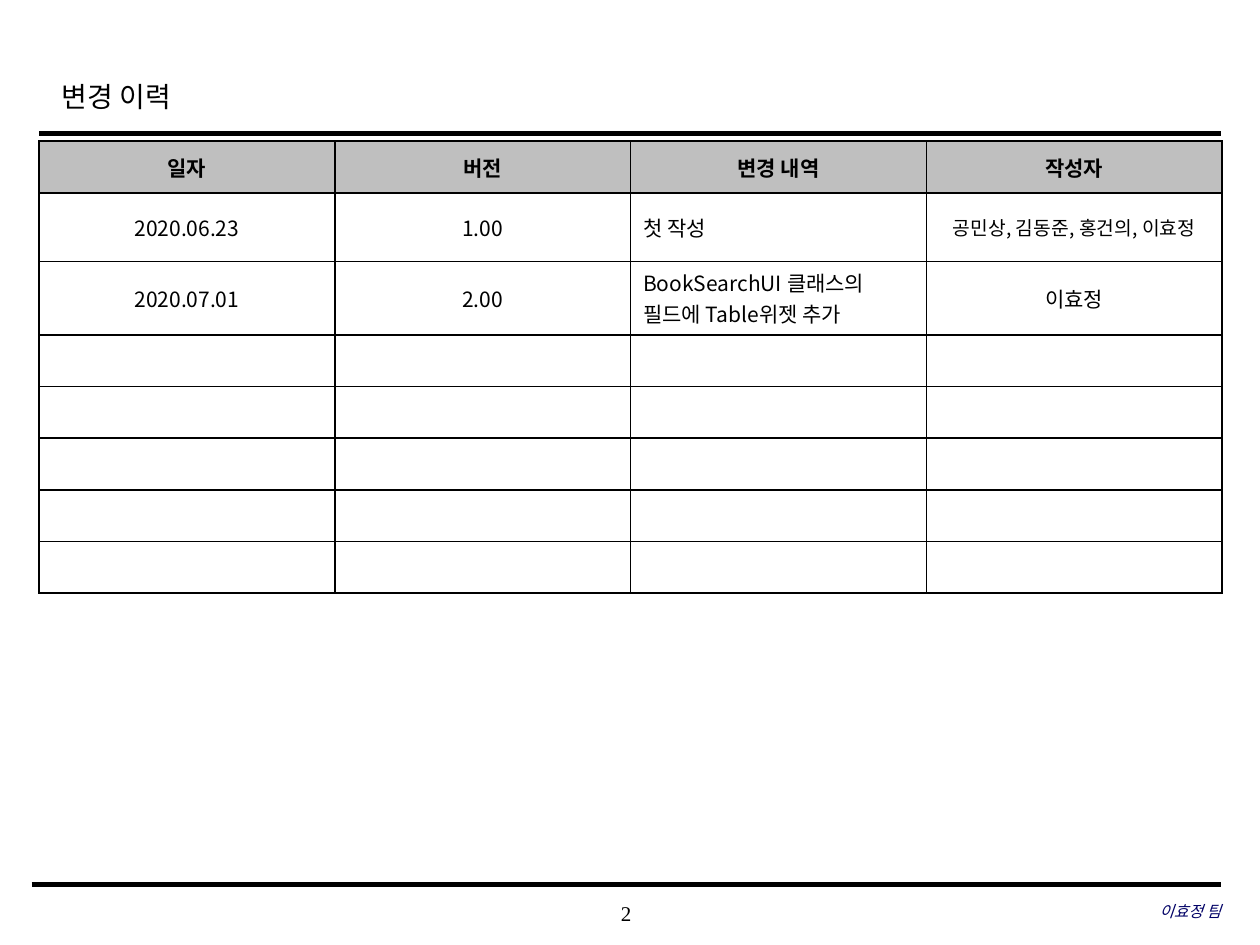
from lxml import etree
from pptx import Presentation
from pptx import util as u
from pptx.dml.color import RGBColor
from pptx.enum import shapes, text
from pptx.oxml.ns import qn

COLORS = {"ink": "000000", "team": "000066", "header": "BFBFBF", "cell": "FFFFFF"}
SERIF = "Times New Roman"
KOREAN = "Noto Sans CJK KR"
CENTER = text.PP_ALIGN.CENTER
LEFT = text.PP_ALIGN.LEFT
RIGHT = text.PP_ALIGN.RIGHT

HISTORY = [
    ["일자", "버전", "변경 내역", "작성자"],
    ["2020.06.23", "1.00", "첫 작성", "공민상, 김동준, 홍건의, 이효정"],
    ["2020.07.01", "2.00", "BookSearchUI 클래스의 필드에 Table위젯 추가", "이효정"],
] + [[""] * 4] * 5
ROW_HEIGHTS = [0.41, 0.54, 0.58] + [0.41] * 5


def style_paragraph(para, size, font=SERIF, color="ink", align=LEFT, bold=False, italic=False):
    para.alignment = align
    for span in para.runs:
        span.font.size = u.Pt(size)
        span.font.name = font
        span.font.bold = bold
        span.font.italic = italic
        span.font.color.rgb = RGBColor.from_string(COLORS[color])
        east_asian = etree.Element(qn("a:ea"), typeface=KOREAN)
        span.font._element.find(qn("a:latin")).addnext(east_asian)


def add_rule(page, left, right, top, weight):
    rule = page.shapes.add_connector(
        shapes.MSO_CONNECTOR.STRAIGHT,
        u.Inches(left), u.Inches(top), u.Inches(right), u.Inches(top),
    )
    rule.line.color.rgb = RGBColor.from_string(COLORS["ink"])
    rule.line.width = u.Pt(weight)
    etree.SubElement(rule._element.spPr, qn("a:effectLst"))


def add_title(page, left, top, width, height):
    title = page.shapes.title
    title.left, title.top = u.Inches(left), u.Inches(top)
    title.width, title.height = u.Inches(width), u.Inches(height)
    frame = title.text_frame
    frame.text = "변경 이력"
    frame.vertical_anchor = text.MSO_ANCHOR.MIDDLE
    frame.paragraphs[0].line_spacing = 1.2
    style_paragraph(frame.paragraphs[0], 16)


def add_footer_text(page, left, top, width, height, words, size, **style):
    box = page.shapes.add_textbox(
        u.Inches(left), u.Inches(top), u.Inches(width), u.Inches(height)
    )
    frame = box.text_frame
    frame.word_wrap = True
    frame.vertical_anchor = text.MSO_ANCHOR.MIDDLE
    frame.margin_left = frame.margin_right = frame.margin_top = frame.margin_bottom = 0
    frame.text = words
    style_paragraph(frame.paragraphs[0], size, **style)


def add_cell_borders(cell):
    properties = cell._tc.get_or_add_tcPr()
    for position, side in enumerate(("lnL", "lnR", "lnT", "lnB")):
        border = etree.Element(qn(f"a:{side}"), w=str(u.Pt(1)))
        fill = etree.SubElement(border, qn("a:solidFill"))
        etree.SubElement(fill, qn("a:srgbClr"), val=COLORS["ink"])
        properties.insert(position, border)


def fill_cell(cell, words, row, column):
    cell.fill.solid()
    cell.fill.fore_color.rgb = RGBColor.from_string(COLORS["cell" if row else "header"])
    cell.vertical_anchor = text.MSO_ANCHOR.MIDDLE
    add_cell_borders(cell)
    cell.text_frame.text = words
    para = cell.text_frame.paragraphs[0]
    size = 11 if (row, column) == (1, 3) else 12
    align = LEFT if row and column == 2 else CENTER
    style_paragraph(para, size, KOREAN, align=align, bold=row == 0)
    if not words:
        etree.SubElement(para._p, qn("a:endParaRPr"), sz="1200")


def add_history_table(page, left, top, width):
    frame = page.shapes.add_table(
        len(HISTORY), len(HISTORY[0]),
        u.Inches(left), u.Inches(top), u.Inches(width), u.Inches(sum(ROW_HEIGHTS)),
    )
    table = frame.table
    for column in table.columns:
        column.width = u.Inches(width / len(HISTORY[0]))
    for row, height in zip(table.rows, ROW_HEIGHTS):
        row.height = u.Inches(height)
    for row, entries in enumerate(HISTORY):
        for column, words in enumerate(entries):
            fill_cell(table.cell(row, column), words, row, column)


def add_footer(page, left, right, top):
    add_rule(page, left, right, top, 3)
    add_footer_text(page, 3.93, top + 0.06, 2.08, 0.33, "2", 12, align=CENTER)
    add_footer_text(page, right - 3.06, top + 0.05, 3.06, 0.33, "이효정 팀", 9,
                    color="team", align=RIGHT, italic=True)


def main():
    deck = Presentation()
    deck.slide_width, deck.slide_height = u.Inches(10), u.Inches(7.5)
    page = deck.slides.add_slide(deck.slide_layouts[5])
    add_title(page, 0.39, 0.49, 7.55, 0.5)
    add_rule(page, 0.31, 9.69, 1.06, 2.5)
    add_history_table(page, 0.31, 1.12, 9.39)
    add_footer(page, 0.25, 9.69, 7.02)
    deck.save("out.pptx")


if __name__ == "__main__":
    main()
